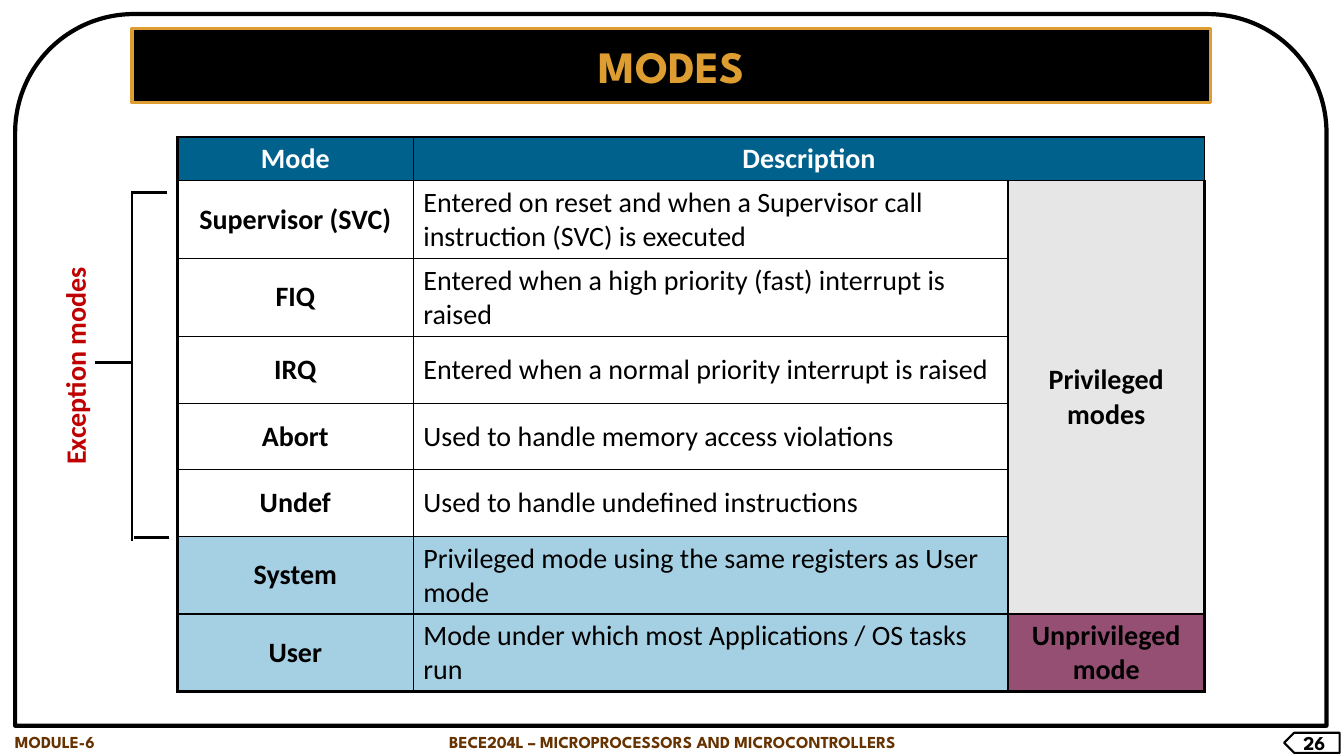
import lxml.etree
import pptx
import pptx.dml.color
import pptx.enum.shapes
import pptx.enum.text
import pptx.oxml.ns
import pptx.util

Pt = pptx.util.Pt
Shape = pptx.enum.shapes.MSO_SHAPE
Align = pptx.enum.text.PP_ALIGN
Anchor = pptx.enum.text.MSO_ANCHOR
Size = pptx.enum.text.MSO_AUTO_SIZE
qn = pptx.oxml.ns.qn

HEAD = {"name": "League Spartan", "bold": True}
BODY = {"name": "Calibri", "size": Pt(20), "bold": False}
BOLD = {**BODY, "bold": True}
BLACK, GOLD, BROWN = "000000", "DD9D31", "663300"
WHITE, TEAL, SKY, GREY, PLUM = "FFFFFF", "00618C", "A5D0E3", "E7E6E6", "954F72"


def color(code):
    return pptx.dml.color.RGBColor.from_string(code)


def sub(node, tag, **attrs):
    return lxml.etree.SubElement(node, qn(tag), attrs)


def outline(node, tag, width):
    """Add a solid black line element."""
    line = sub(node, tag, w=str(Pt(width)))
    sub(sub(line, "a:solidFill"), "a:srgbClr", val=BLACK)
    return line


class Page:
    """The current slide and its style."""

    def __init__(self, deck):
        self.slide = deck.slides.add_slide(deck.slide_layouts[5])
        self.shapes = self.slide.shapes

    def place(self, item, box):
        for key, value in zip(("left", "top", "width", "height"), box):
            setattr(item, key, Pt(value))

    def label(self, frame, text, font, ink, align=Align.CENTER):
        frame.text = text
        para = frame.paragraphs[0]
        para.alignment = align
        for run in para.runs:
            for key, value in font.items():
                setattr(run.font, key, value)
            run.font.color.rgb = color(ink)
        return para.runs[0]

    def paint(self, item, fill, line, width):
        if fill:
            item.fill.solid()
            item.fill.fore_color.rgb = color(fill)
        else:
            item.fill.background()
        item.line.color.rgb = color(line)
        item.line.width = Pt(width)

    def title(self, text, box):
        item = self.shapes.title
        self.place(item, box)
        geom = lxml.etree.Element(qn("a:prstGeom"), prst="roundRect")
        sub(geom, "a:avLst")
        item._element.spPr.insert(1, geom)
        self.paint(item, BLACK, GOLD, 2.25)
        frame = item.text_frame
        frame.auto_size = Size.NONE
        frame.vertical_anchor = Anchor.MIDDLE
        run = self.label(frame, text, {**HEAD, "size": Pt(32)}, GOLD)
        props = run._r.get_or_add_rPr()
        props.insert(0, outline(props, "a:ln", 0.75))

    def shape(self, kind, box, fill, width):
        item = self.shapes.add_shape(kind, *map(Pt, box))
        item.shadow.inherit = False
        self.paint(item, fill, BLACK, width)
        return item

    def text(self, text, box, font, ink, align=Align.CENTER, turn=0):
        item = self.shapes.add_textbox(*map(Pt, box))
        item.rotation = turn
        item.text_frame.word_wrap = True
        item.text_frame.auto_size = Size.SHAPE_TO_FIT_TEXT
        self.label(item.text_frame, text, font, ink, align)

    def line(self, *ends):
        item = self.shapes.add_connector(
            pptx.enum.shapes.MSO_CONNECTOR.STRAIGHT, *map(Pt, ends))
        item.line.color.rgb = color(BLACK)
        item.line.width = Pt(2)
        sub(item._element.spPr, "a:effectLst")

    def table(self, box, cols, rows):
        grid = self.shapes.add_table(len(rows), len(cols), *map(Pt, box)).table
        grid.first_row = grid.horz_banding = False
        for col, width in zip(grid.columns, cols):
            col.width = Pt(width)
        for row, height in zip(grid.rows, rows):
            row.height = Pt(height)
        # Thick outer frame, thin inner rules
        for r in range(len(rows)):
            for c in range(len(cols)):
                props = grid.cell(r, c)._tc.get_or_add_tcPr()
                edges = {"L": c == 0, "R": c == len(cols) - 1,
                         "T": r == 0, "B": r == len(rows) - 1}
                for side, outer in edges.items():
                    outline(props, "a:ln" + side, 2.25 if outer else 1)
        return grid

    def cell(self, cell, text, fill, font=BOLD, ink=BLACK, align=Align.CENTER):
        cell.fill.solid()
        cell.fill.fore_color.rgb = color(fill)
        cell.vertical_anchor = Anchor.MIDDLE
        self.label(cell.text_frame, text, font, ink, align)


MODES = [
    ("Supervisor (SVC)", "Entered on reset and when a Supervisor call instruction (SVC) is executed", WHITE),
    ("FIQ", "Entered when a high priority (fast) interrupt is raised", WHITE),
    ("IRQ", "Entered when a normal priority interrupt is raised", WHITE),
    ("Abort", "Used to handle memory access violations", WHITE),
    ("Undef", "Used to handle undefined instructions", WHITE),
    ("System", "Privileged mode using the same registers as User mode", SKY),
    ("User", "Mode under which most Applications / OS tasks run", SKY),
]


def main():
    deck = pptx.Presentation()
    deck.slide_width, deck.slide_height = Pt(960), Pt(540)
    page = Page(deck)

    # Title and frame
    page.title("MODES", (94.3, 20.2, 770.4, 53.3))
    page.shape(Shape.ROUND_2_SAME_RECTANGLE, (10.8, 10.1, 936.7, 508.3), None, 3)

    # Footer
    small = {**HEAD, "size": Pt(12)}
    tag = page.shape(Shape.PENTAGON, (917.3, 523.4, 39.6, 14.4), WHITE, 1.5)
    tag._element.spPr.find(qn("a:xfrm")).set("flipH", "1")
    tag.text_frame.vertical_anchor = Anchor.MIDDLE
    page.label(tag.text_frame, "26", {**HEAD, "size": Pt(14)}, BLACK)
    page.text("MODULE-6", (3.6, 519.1, 90.7, 21.6), small, BROWN, Align.LEFT)
    page.text("BECE204L – MICROPROCESSORS AND MICROCONTROLLERS",
              (264.2, 519.1, 432.7, 21.6), small, BROWN)

    # Table of modes
    grid = page.table((126.7, 97.9, 733.7, 396), (168.5, 424.8, 140.4),
                      (31, 55.5, 55.5, 48, 47.5, 47.5, 55.5, 55.5))
    grid.cell(0, 1).merge(grid.cell(0, 2))
    grid.cell(1, 2).merge(grid.cell(6, 2))
    for c, text in enumerate(("Mode", "Description")):
        page.cell(grid.cell(0, c), text, TEAL, ink=WHITE)
    for r, (name, about, fill) in enumerate(MODES, 1):
        page.cell(grid.cell(r, 0), name, fill)
        page.cell(grid.cell(r, 1), about, fill, BODY, align=Align.LEFT)
    page.cell(grid.cell(1, 2), "Privileged\vmodes", GREY)
    page.cell(grid.cell(7, 2), "Unprivileged mode", PLUM)

    # Bracket for the exception modes
    page.line(119.5, 137.5, 93.6, 137.5)
    page.line(94.3, 136.8, 94.3, 386.6)
    page.line(121, 383.8, 95.8, 383.8)
    page.line(93.6, 259.2, 67.7, 259.2)
    page.text("Exception modes", (-62.6, 245.5, 232.6, 31.7), BOLD, "C00000", turn=270)

    deck.save("out.pptx")


if __name__ == "__main__":
    main()
